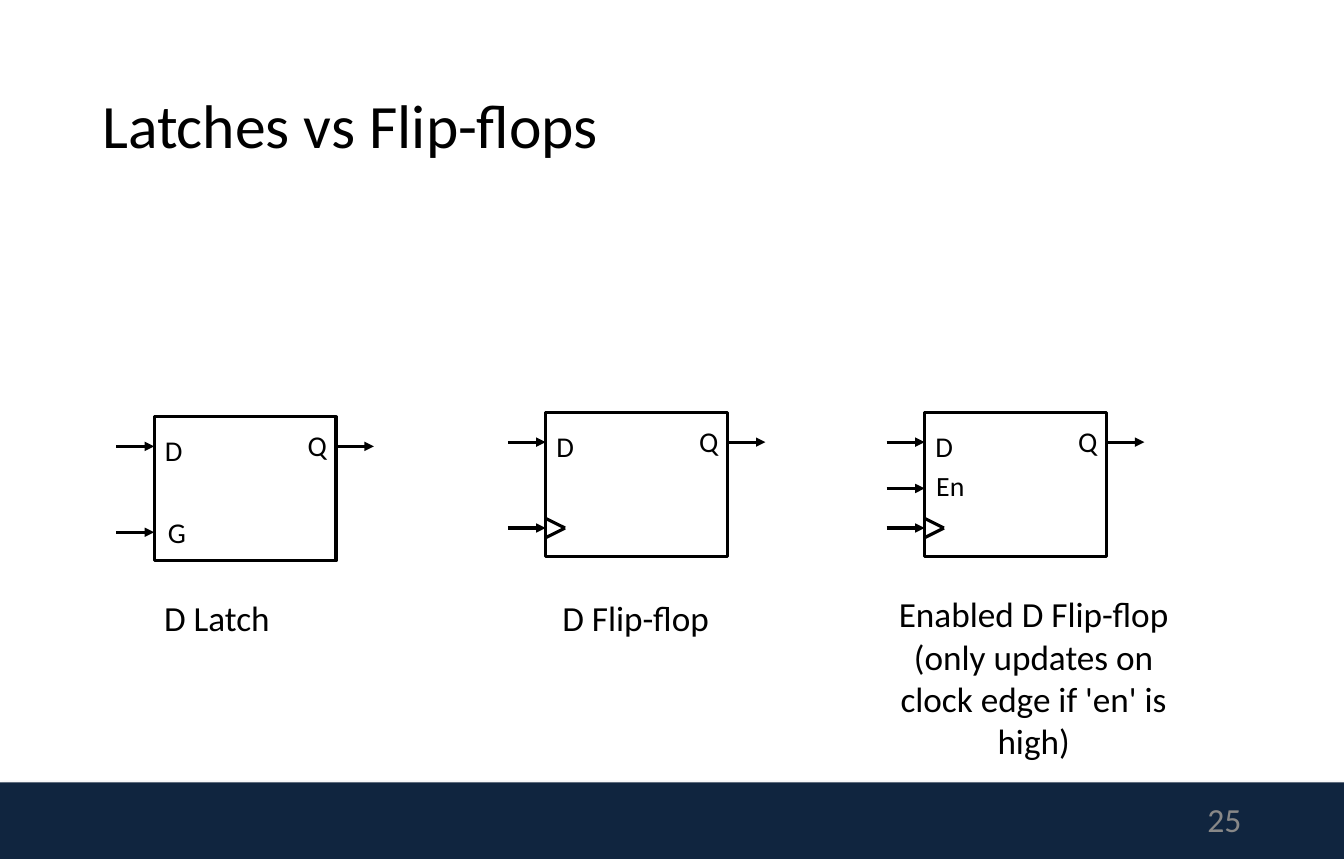
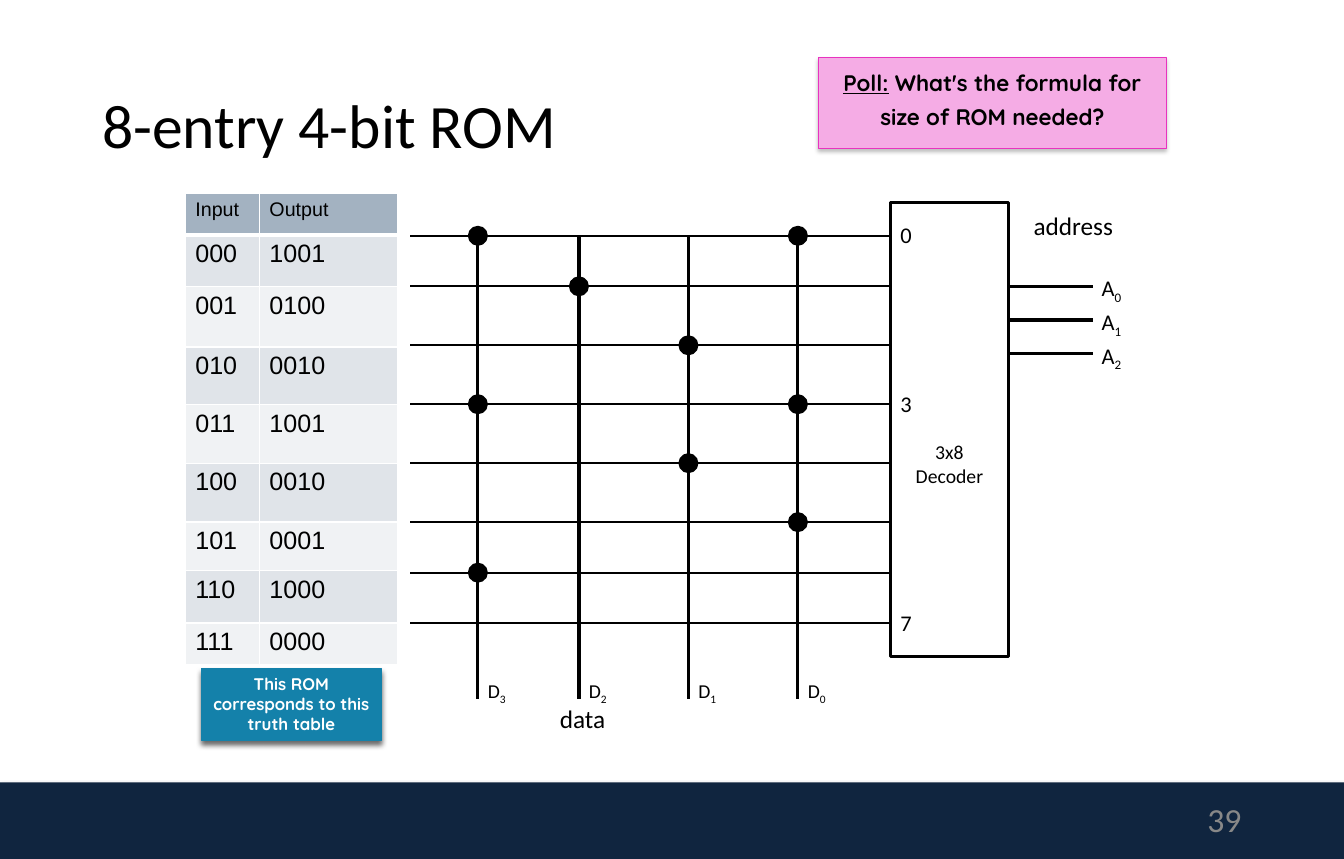
from lxml import etree
from pptx import Presentation
from pptx.dml.color import RGBColor
from pptx.enum.shapes import MSO_CONNECTOR as LINK, MSO_SHAPE as SHAPE
from pptx.enum.text import MSO_ANCHOR as ANCHOR, PP_ALIGN as ALIGN
from pptx.oxml.ns import qn
from pptx.util import Inches, Pt

COLS, ROWS = 159.6, 102
BLACK, WHITE, NAVY, GRAY = "000000", "FFFFFF", "10253F", "888888"
TEAL, PINK, MAGENTA = "1481AA", "F5ACE5", "E833BF"
HEADER_FILL, BAND_FILLS = "A3B2C1", ("E0E4E9", "F0F2F4")

BODY = {"size": Pt(16), "name": "Calibri"}
TITLE = {**BODY, "size": Pt(43.9)}
NUMBER = {**BODY, "size": Pt(24)}
PIN = {**BODY, "size": Pt(20.4)}
CAPTION = {**BODY, "size": Pt(25.1)}
SMALL = {**BODY, "size": Pt(14)}
HEADING = {**BODY, "size": Pt(18)}
NOTE = {"size": Pt(12), "name": "Quicksand", "bold": True}
POLL = {**NOTE, "size": Pt(16)}
TABLE_HEAD = {"size": Pt(14), "name": "Arial"}
TABLE_BODY = {**TABLE_HEAD, "size": Pt(17.9)}

TRUTH_TABLE = [
    ("000", "1001"), ("001", "0100"), ("010", "0010"), ("011", "1001"),
    ("100", "0010"), ("101", "0001"), ("110", "1000"), ("111", "0000"),
]
TABLE_COLS = (8.8, 16.4)
TABLE_ROWS = (4.9, 6.1, 7.2, 6.8, 7, 7, 5.8, 6.2, 4.9)
WORD_ROWS = (28, 34, 41, 48, 55, 62, 68, 74)
BIT_COLS = (56.75, 68.75, 81.75, 94.75)


def grid(units):
    return Inches(units / 12)


def color(value):
    return RGBColor.from_string(value)


def apply(target, values):
    for key, value in values.items():
        setattr(target, key, value)


def write(frame, paragraphs, font, ink=BLACK, layout=None, **frame_values):
    apply(frame, {"word_wrap": True, "vertical_anchor": ANCHOR.TOP, **frame_values})
    for index, runs in enumerate(paragraphs):
        paragraph = frame.add_paragraph() if index else frame.paragraphs[0]
        apply(paragraph, {"alignment": ALIGN.LEFT, **(layout or {})})
        for words, extra in runs:
            run = paragraph.add_run()
            run.text = words
            apply(run.font, {**font, **extra})
            run.font.color.rgb = color(ink)


def label(slide, left, top, words, font, width=6, height=5, **options):
    box = slide.shapes.add_textbox(*map(grid, (left, top, width, height)))
    write(box.text_frame, [[(line, {})] for line in words.split("\n")], font, **options)
    return box


def indexed_label(slide, left, top, letter, index, font):
    box = label(slide, left, top, letter, font)
    digit = box.text_frame.paragraphs[0].add_run()
    digit.text = str(index)
    apply(digit.font, font)
    digit.font.color.rgb = color(BLACK)
    digit.font._element.set("baseline", "-25000")


def block(slide, left, top, width, height, kind=SHAPE.RECTANGLE,
          fill=None, line=BLACK, weight=2.25, shadow=None):
    shape = slide.shapes.add_shape(kind, *map(grid, (left, top, width, height)))
    shape.shadow.inherit = False
    if fill:
        shape.fill.solid()
        shape.fill.fore_color.rgb = color(fill)
    else:
        shape.fill.background()
    if line:
        shape.line.color.rgb = color(line)
        shape.line.width = Pt(weight)
    else:
        shape.line.fill.background()
    if shadow:
        cast_shadow(shape, *shadow)
    return shape


def cast_shadow(shape, ink, opacity, blur, distance):
    effects = shape._element.spPr.find(qn("a:effectLst"))
    outer = etree.SubElement(
        effects, qn("a:outerShdw"), blurRad=str(Pt(blur)), dist=str(Pt(distance)),
        dir="5400000", algn="ctr", rotWithShape="0")
    tint = etree.SubElement(outer, qn("a:srgbClr"), val=ink)
    etree.SubElement(tint, qn("a:alpha"), val=str(opacity * 1000))


def wire(slide, x1, y1, x2, y2, weight=2.25, arrow=False):
    link = slide.shapes.add_connector(LINK.STRAIGHT, *map(grid, (x1, y1, x2, y2)))
    link.line.color.rgb = color(BLACK)
    link.line.width = Pt(weight)
    properties = link._element.spPr
    if arrow:
        etree.SubElement(properties.find(qn("a:ln")), qn("a:tailEnd"), type="triangle")
    etree.SubElement(properties, qn("a:effectLst"))


def start_slide(deck, title, number):
    slide = deck.slides.add_slide(deck.slide_layouts[6])
    block(slide, 0, 92.9, COLS, ROWS - 92.9, fill=NAVY, line=None,
          shadow=("808080", 35, 3.1, 1.8))
    label(slide, 10.95, 5.4, title, TITLE, 137.6, 19.7,
          layout={"line_spacing": 0.9}, vertical_anchor=ANCHOR.MIDDLE)
    label(slide, 112.7, 94.6, number, NUMBER, 35.9, 5.4, ink=GRAY,
          layout={"alignment": ALIGN.RIGHT}, vertical_anchor=ANCHOR.MIDDLE)
    return slide


def storage_cell(slide, left, top, clocked=True, enabled=False):
    width, height, lead = 21.6, 17.1, 4.5
    data_row, enable_row, clock_row = top + 3.5, top + 9, top + 13.7
    right = left + width
    block(slide, left, top, width, height)
    label(slide, left + 0.1, top + 1.3, "D", PIN)
    label(slide, left + 17.05, top + 0.7, "Q", PIN)
    inputs = [data_row, clock_row]
    if enabled:
        label(slide, left + 0.2, top + 6.1, "En", {**PIN, "size": Pt(19.8)}, 8)
        inputs.append(enable_row)
    if clocked:
        for edge in (-1.15, 1.15):
            wire(slide, left, clock_row + edge, left + 2.3, clock_row)
    else:
        label(slide, left + 0.45, top + 11.05, "G", PIN)
    for row in inputs:
        wire(slide, left - lead, row, left, row, arrow=True)
    wire(slide, right, data_row, right + lead, data_row, arrow=True)


def truth_table(slide, left, top):
    entries = [("Input", "Output"), *TRUTH_TABLE]
    table = slide.shapes.add_table(
        len(entries), len(TABLE_COLS),
        *map(grid, (left, top, sum(TABLE_COLS), sum(TABLE_ROWS)))).table
    apply(table, {"first_row": False, "horz_banding": False})
    for column, width in zip(table.columns, TABLE_COLS):
        column.width = grid(width)
    for index, (row, height, words) in enumerate(zip(table.rows, TABLE_ROWS, entries)):
        row.height = grid(height)
        fill = BAND_FILLS[(index - 1) % 2] if index else HEADER_FILL
        for cell, word in zip(row.cells, words):
            cell_borders(cell, {"L": 1, "R": 1, "T": 3 if index == 1 else 1,
                                "B": 1 if index else 3})
            cell.fill.solid()
            cell.fill.fore_color.rgb = color(fill)
            write(cell.text_frame, [[(word, {})]], TABLE_BODY if index else TABLE_HEAD)


def cell_borders(cell, weights):
    properties = cell._tc.get_or_add_tcPr()
    for side, weight in weights.items():
        line = etree.SubElement(properties, qn(f"a:ln{side}"), w=str(Pt(weight)))
        solid = etree.SubElement(line, qn("a:solidFill"))
        etree.SubElement(solid, qn("a:srgbClr"), val=WHITE)


def rom_matrix(slide, decoder_left):
    for row in WORD_ROWS:
        wire(slide, decoder_left, row, 48.75, row, weight=1.5)
    for place, column in enumerate(BIT_COLS):
        wire(slide, column, WORD_ROWS[0], column, 83)
        indexed_label(slide, column, 80, "D", 3 - place, SMALL)
    for row, (_, word) in zip(WORD_ROWS, TRUTH_TABLE):
        for column, bit in zip(BIT_COLS, word):
            if bit == "1":
                block(slide, column - 1, row - 1, 2, 2, SHAPE.OVAL, fill=BLACK)
    label(slide, 65.3, 82.9, "data", HEADING, 10)


def decoder(slide, left):
    width = 14
    body = block(slide, left, 24, width, 54)
    write(body.text_frame, [[("3x8", {})], [("Decoder", {})]], SMALL,
          layout={"alignment": ALIGN.CENTER},
          vertical_anchor=ANCHOR.MIDDLE, margin_top=Inches(0.72))
    for word in (0, 3, 7):
        label(slide, left, WORD_ROWS[word] - 2.3, str(word), BODY)
    right = left + width
    for bit in range(3):
        row = 34 + 4 * bit
        wire(slide, right, row, right + 10, row)
        indexed_label(slide, right + 9.9, row - 2, "A", bit, BODY)
    label(slide, right + 1.8, 24.4, "address", HEADING, 14)


def latches_slide(deck):
    slide = start_slide(deck, "Latches vs Flip-flops", "25")
    storage_cell(slide, 18.3, 49.5, clocked=False)
    storage_cell(slide, 64.8, 49)
    storage_cell(slide, 109.8, 49, enabled=True)
    label(slide, 18.3, 70.2, "D Latch", CAPTION, 24.6, 6.2)
    label(slide, 65.6, 70.2, "D Flip-flop", CAPTION, 24.6, 6.2)
    label(slide, 103.3, 69.8,
          "Enabled D Flip-flop\n(only updates on clock edge if 'en' is high)",
          CAPTION, 38.9, 21.5, layout={"alignment": ALIGN.CENTER})


def rom_slide(deck):
    slide = start_slide(deck, "8-entry 4-bit ROM", "39")
    decoder_left = 105.75
    decoder(slide, decoder_left)
    rom_matrix(slide, decoder_left)
    truth_table(slide, 22, 23)
    note = block(slide, 23.9, 79.4, 21.4, 8.5, fill=TEAL, line=TEAL, weight=0.75,
                 shadow=(BLACK, 60, 4, 3))
    write(note.text_frame, [[("This ROM corresponds to this truth table", {})]], NOTE,
          ink=WHITE, layout={"alignment": ALIGN.CENTER})
    poll = block(slide, 97.2, 6.8, 41.3, 10.8, fill=PINK, line=MAGENTA, weight=0.75,
                 shadow=(BLACK, 25, 3, 2))
    write(poll.text_frame,
          [[("Poll:", {"underline": True}),
            (" What's the formula for size of ROM needed?", {})]],
          POLL, layout={"alignment": ALIGN.CENTER, "line_spacing": 1.25})


def main():
    deck = Presentation()
    apply(deck, {"slide_width": grid(COLS), "slide_height": grid(ROWS)})
    latches_slide(deck)
    rom_slide(deck)
    deck.save("out.pptx")


if __name__ == "__main__":
    main()
